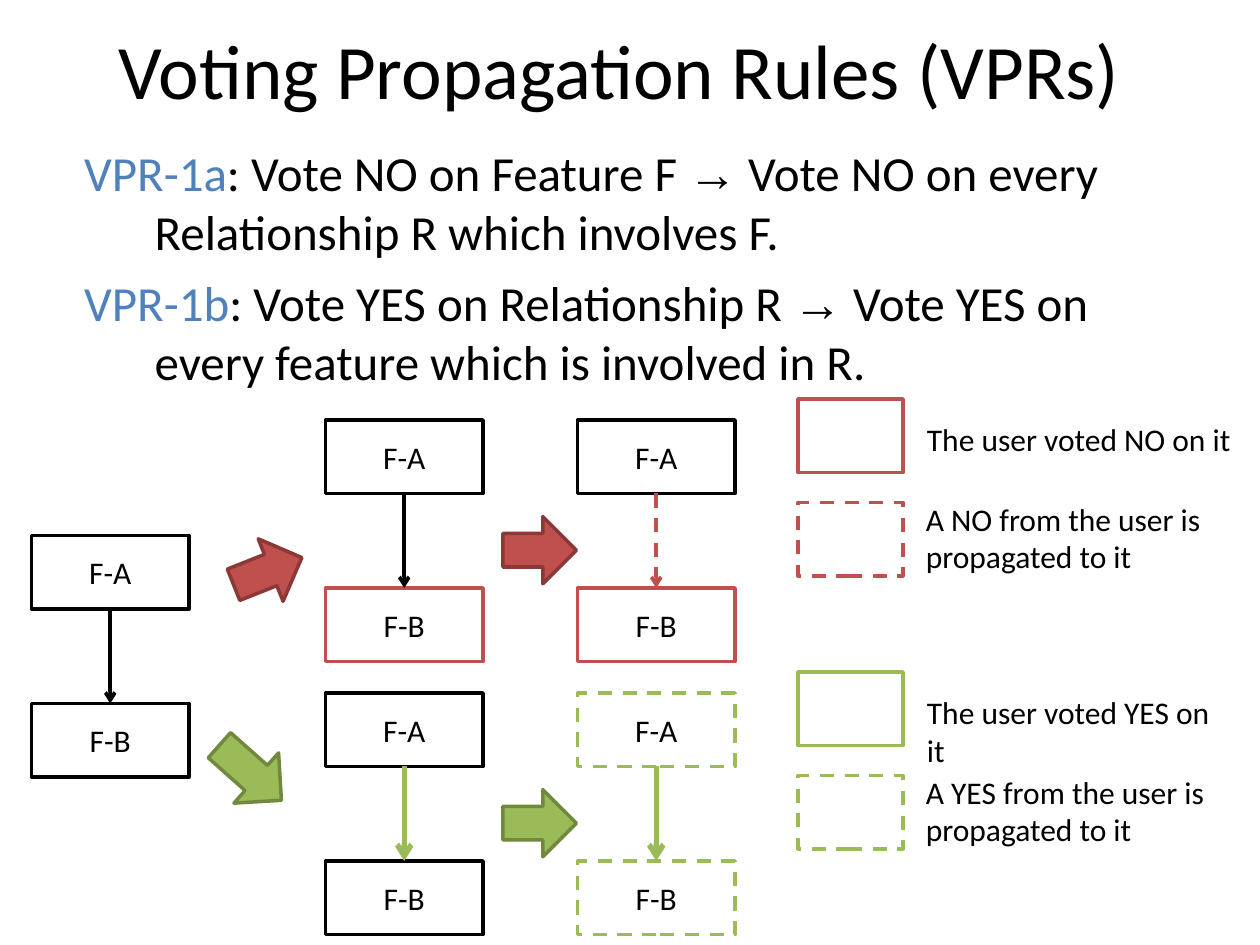
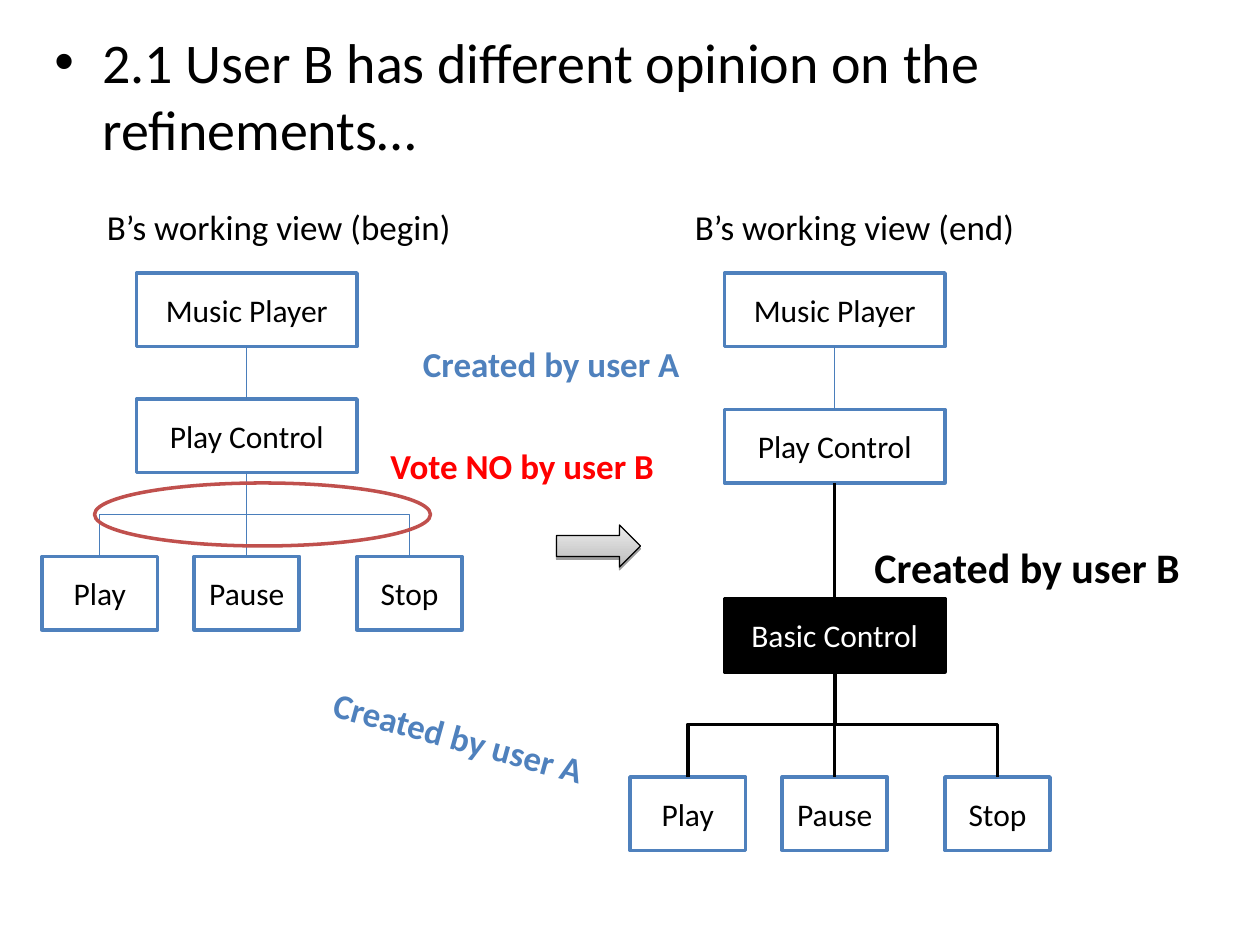
import pptx
import pptx.dml.color
import pptx.enum.dml
import pptx.enum.shapes
import pptx.enum.text
import pptx.oxml
import pptx.oxml.ns
import pptx.util

CELLS_PER_INCH = 12
BLACK, WHITE = "000000", "FFFFFF"
BLUE, THIN_BLUE = "4F81BD", "4A7EBB"
RED, DARK_RED, PURE_RED = "C0504D", "8C3836", "FF0000"
GREEN, DARK_GREEN = "9BBB59", "71893F"
FONT = "Calibri"
BOX_HEIGHT = 7
PAIR_STEP = 16
BRANCH_STEP = 26
TREE_STEP = 56

SHAPES = pptx.enum.shapes.MSO_SHAPE
LINES = pptx.enum.shapes.MSO_CONNECTOR
DASH = pptx.enum.dml.MSO_LINE.DASH
ALIGN = pptx.enum.text.PP_ALIGN
ANCHOR = pptx.enum.text.MSO_ANCHOR
GROW = pptx.enum.text.MSO_AUTO_SIZE.SHAPE_TO_FIT_TEXT


def grid(*cells):
    return [pptx.util.Inches(cell / CELLS_PER_INCH) for cell in cells]


def rgb(code):
    return pptx.dml.color.RGBColor.from_string(code)


def assign(target, **values):
    for name, value in values.items():
        setattr(target, name, value)


def xml(parent, markup):
    namespace = pptx.oxml.ns.nsdecls("a")
    tag, rest = markup.split(" ", 1)
    parent.append(pptx.oxml.parse_xml(f"<{tag} {namespace} {rest}"))


def add_span(para, words, size, color=BLACK, bold=False, name=FONT):
    span = para.add_run()
    span.text = words
    assign(span.font, size=pptx.util.Pt(size), bold=bold, name=name)
    span.font.color.rgb = rgb(color)


def hang(para, left, indent):
    properties = para._p.get_or_add_pPr()
    properties.set("marL", str(pptx.util.Inches(left)))
    properties.set("indent", str(pptx.util.Inches(indent)))
    return properties


def set_line(line, color, width, dashed=False):
    line.color.rgb = rgb(color)
    line.width = pptx.util.Pt(width)
    if dashed:
        line.dash_style = DASH


def add_figure(page, kind, place, fill, line, width=2, dashed=False, turn=0):
    figure = page.shapes.add_shape(kind, *grid(*place))
    if fill:
        figure.fill.solid()
        figure.fill.fore_color.rgb = rgb(fill)
    else:
        figure.fill.background()
    set_line(figure.line, line, width, dashed)
    figure.shadow.inherit = False
    figure.rotation = turn
    return figure


def add_box(page, left, top, width, words="", line=BLACK, dashed=False, fill=WHITE, color=BLACK):
    place = (left, top, width, BOX_HEIGHT)
    box = add_figure(page, SHAPES.RECTANGLE, place, fill, line, dashed=dashed)
    if words:
        frame = box.text_frame
        assign(frame, vertical_anchor=ANCHOR.MIDDLE, word_wrap=True)
        frame.paragraphs[0].alignment = ALIGN.CENTER
        add_span(frame.paragraphs[0], words, 18, color)
    return box


def add_text(page, place, wrap=True):
    box = page.shapes.add_textbox(*grid(*place))
    box.text_frame.word_wrap = wrap
    return box


def add_label(page, place, words, size=18, color=BLACK, bold=False, wrap=False, turn=0):
    box = add_text(page, place, wrap)
    box.text_frame.auto_size = GROW
    box.rotation = turn
    add_span(box.text_frame.paragraphs[0], words, size, color, bold)


def add_link(page, kind, points, color, width, dashed=False):
    link = page.shapes.add_connector(kind, *points)
    set_line(link.line, color, width, dashed)
    xml(link._element.spPr, "a:effectLst />")
    return link


def join_down(page, upper, lower, color, width, dashed=False, head=False):
    link = add_link(page, LINES.STRAIGHT, grid(0, 0, 0, 0), color, width, dashed)
    link.begin_connect(upper, 2)
    link.end_connect(lower, 0)
    if head:
        xml(link.line._get_or_add_ln(), 'a:tailEnd type="arrow"/>')


def bend_down(page, upper, lower, color, width):
    start, end = (box.left + box.width // 2 for box in (upper, lower))
    top, bottom = upper.top + upper.height, lower.top
    drop, reach = bottom - top, abs(end - start)
    left = (start + end - drop) // 2
    above = (top + bottom - reach) // 2
    link = add_link(page, LINES.ELBOW, (left, above, left + drop, above + reach), color, width)
    frame = link._element.spPr.find(pptx.oxml.ns.qn("a:xfrm"))
    frame.set("rot", "5400000" if end < start else "16200000")
    if end > start:
        frame.set("flipH", "1")


def add_pair(page, left, top, lines=(BLACK, BLACK), dashed=False, link=(BLACK, 2)):
    upper, lower = (
        add_box(page, left, top + row * PAIR_STEP, 15, words, lines[row], dashed)
        for row, words in enumerate(("F-A", "F-B"))
    )
    join_down(page, upper, lower, *link, head=True)


def add_legend(page, top, vote, color):
    add_box(page, 76, top, 10, line=color)
    add_label(page, (87.1, top + 1.45, 31.5, 4.8), f"The user voted {vote} on it")
    add_box(page, 76, top + 9.85, 10, line=color, dashed=True)
    words = f"A {vote} from the user is propagated to it"
    add_label(page, (87, top + 9, 36, 8.4), words, wrap=True)


def add_rules(page):
    rules = (
        ("VPR-1a", ": Vote NO on Feature F ", " Vote NO on every Relationship R which involves F."),
        ("VPR-1b", ": Vote YES on Relationship R ", " Vote YES on every feature which is involved in R."),
    )
    frame = add_text(page, (6, 13, 108, 67.4)).text_frame
    for row, (rule, cause, effect) in enumerate(rules):
        para = frame.add_paragraph() if row else frame.paragraphs[0]
        hang(para, 0.63, -0.56)
        para.space_before = pptx.util.Pt(7 if row else 0)
        add_span(para, rule, 28, BLUE)
        add_span(para, cause, 28)
        add_span(para, "→", 28, name="Arial")
        add_span(para, effect, 28)


def add_rules_page(page):
    title = add_text(page, (5, -1, 108, 15)).text_frame
    title.vertical_anchor = ANCHOR.MIDDLE
    title.paragraphs[0].alignment = ALIGN.CENTER
    add_span(title.paragraphs[0], "Voting Propagation Rules (VPRs)", 44)
    add_rules(page)

    no_top, yes_top = 40, 40 + BRANCH_STEP
    add_pair(page, 3, 51)
    add_pair(page, 31, no_top, (BLACK, RED))
    add_pair(page, 55, no_top, (BLACK, RED), link=(RED, 2, True))
    add_pair(page, 31, yes_top, link=(GREEN, 3))
    add_pair(page, 55, yes_top, (GREEN, GREEN), True, (GREEN, 3))

    arrows = (
        ((22, 51.2, 7, 6.4), RED, DARK_RED, 338.3),
        ((47.9, 49.2, 7, 6.4), RED, DARK_RED, 0),
        ((47.9, 49.2 + BRANCH_STEP, 7, 6.4), GREEN, DARK_GREEN, 0),
        ((19.9, 70.4, 7.9, 6.4), GREEN, DARK_GREEN, 41.6),
    )
    for place, fill, line, turn in arrows:
        add_figure(page, SHAPES.RIGHT_ARROW, place, fill, line, turn=turn)
    for row, (vote, color) in enumerate((("NO", RED), ("YES", GREEN))):
        add_legend(page, 38 + row * BRANCH_STEP, vote, color)


def add_tree(page, shift, control_top, leaf_top, stem, basic_top=None):
    left = 13 + shift
    music = add_box(page, left, 26, 21, "Music Player", BLUE)
    parent = add_box(page, left, control_top, 21, "Play Control", BLUE)
    join_down(page, music, parent, THIN_BLUE, 0.75)
    if basic_top:
        basic = add_box(page, left, basic_top, 21, "Basic Control", fill=BLACK, color=WHITE)
        join_down(page, parent, basic, *stem)
        parent = basic
    leaves = [
        add_box(page, column + shift, leaf_top, width, words, BLUE)
        for column, width, words in ((4, 11, "Play"), (18.5, 10, "Pause"), (34, 10, "Stop"))
    ]
    bend_down(page, parent, leaves[0], *stem)
    join_down(page, parent, leaves[1], *stem)
    bend_down(page, parent, leaves[2], *stem)


def add_step_arrow(page):
    arrow = add_figure(page, SHAPES.RIGHT_ARROW, (53, 50, 8, 4), WHITE, BLACK, 0.75)
    arrow.fill.gradient()
    arrow.fill.gradient_angle = 90
    for stop, position, color in zip(arrow.fill.gradient_stops, (0, 1), ("BCBCBC", "EDEDED")):
        stop.position = position
        stop.color.rgb = rgb(color)
    effects = arrow._element.spPr.find(pptx.oxml.ns.qn("a:effectLst"))
    xml(effects, 'a:outerShdw blurRad="0" dist="20000" dir="5400000" rotWithShape="0">'
        '<a:srgbClr val="000000"><a:alpha val="38000"/></a:srgbClr></a:outerShdw>')


def add_views_page(page):
    heading = add_text(page, (4, 2, 108, 36)).text_frame.paragraphs[0]
    properties = hang(heading, 0.38, -0.38)
    xml(properties, 'a:buFont typeface="Arial"/>')
    xml(properties, 'a:buChar char="•"/>')
    add_span(heading, "2.1 User B has different opinion on the refinements…", 32)

    add_tree(page, 0, 38, 53, (THIN_BLUE, 0.75))
    add_tree(page, TREE_STEP, 39, 74, (BLACK, 2), 57)
    add_figure(page, SHAPES.OVAL, (9, 46, 32, 6), None, RED)
    add_step_arrow(page)

    add_label(page, (9, 19, 35.4, 5.25), "B’s working view (begin)", 20)
    add_label(page, (9 + TREE_STEP, 19, 33, 5.25), "B’s working view (end)", 20)
    add_label(page, (36, 41.75, 27.7, 5.25), "Vote NO by user B", 20, PURE_RED, True)
    add_label(page, (82.1, 51, 31.7, 6), "Created by user B", 24, BLACK, True)
    for left, top, turn in ((39.1, 32, 0), (30.25, 67.6, 15.4)):
        add_label(page, (left, top, 27, 5.25), "Created by user A", 20, BLUE, True, turn=turn)


def main():
    deck = pptx.Presentation()
    width, height = grid(120, 90)
    assign(deck, slide_width=width, slide_height=height)
    for fill_page in (add_rules_page, add_views_page):
        fill_page(deck.slides.add_slide(deck.slide_layouts[6]))
    deck.save("out.pptx")


if __name__ == "__main__":
    main()
